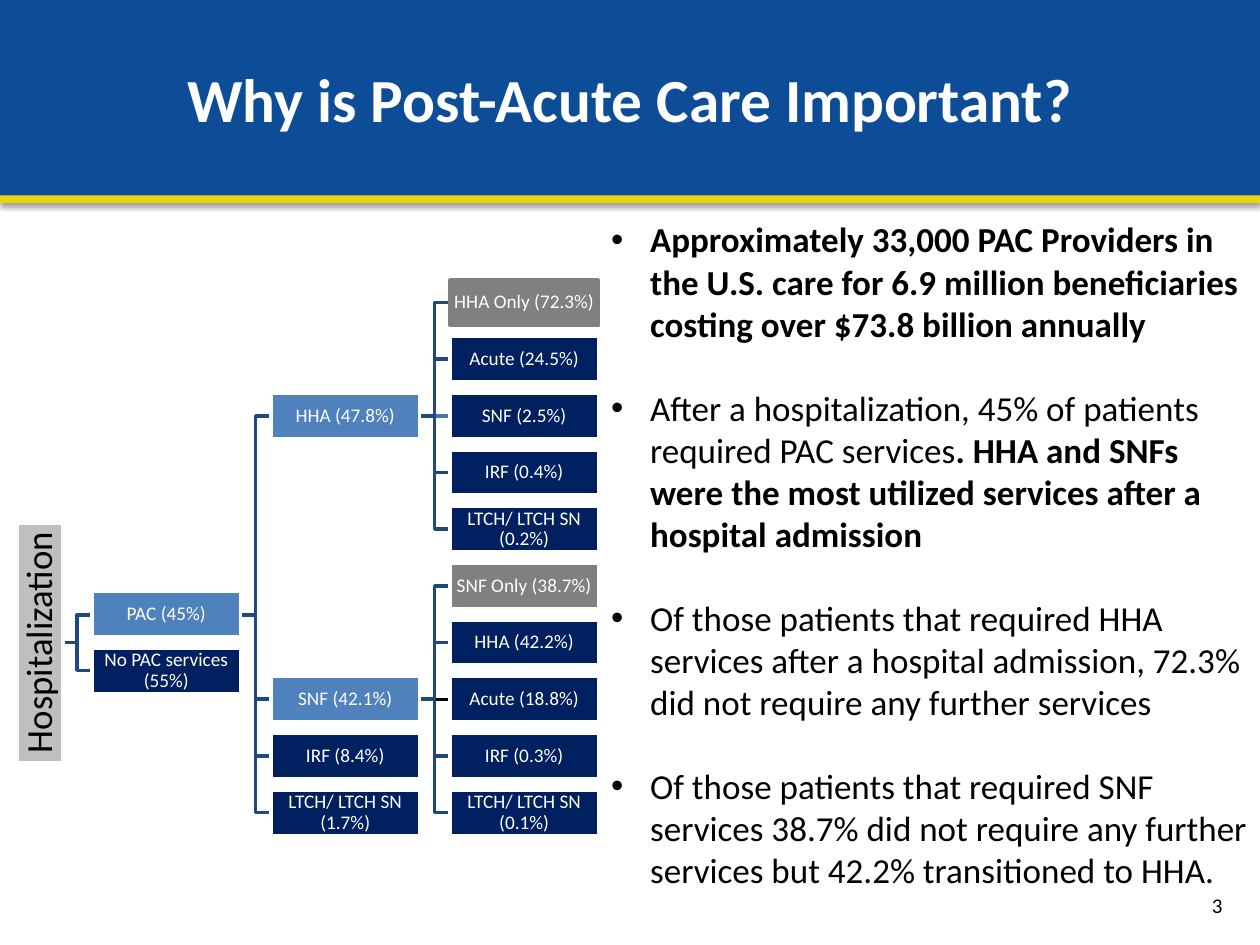
from dataclasses import dataclass, field
from typing import Iterator

from lxml import etree
from pptx import Presentation
from pptx import util as u
from pptx.dml import color
from pptx.enum import shapes, text
from pptx.oxml import ns

PX = 9144  # EMU per px, 100 px to the inch
FONT = "Calibri"
WHITE, BLACK = "FFFFFF", "000000"
NAVY, BLUE, GRAY, EDGE = "002060", "4F81BD", "808080", "1F497D"

# Tree grid
BOX_W, BOX_H = 118, 36
COLUMN_LEFT, COLUMN_PITCH = 73, 142
ROW_TOP, ROW_PITCH = 240, 45
GAP = COLUMN_PITCH - BOX_W


@dataclass
class Service:
    label: str
    row: float
    fill: str = NAVY
    border: str = WHITE
    edge: str = EDGE
    children: list["Service"] = field(default_factory=list)

    @property
    def y(self) -> float:
        return ROW_TOP + self.row * ROW_PITCH


HOSPITALIZATION = Service("Hospitalization", 6, "BFBFBF", children=[
    Service("PAC (45%)", 5.5, BLUE, children=[
        Service("HHA (47.8%)", 2, BLUE, children=[
            Service("HHA Only (72.3%)", 0, GRAY, border=GRAY),
            Service("Acute (24.5%)", 1),
            Service("SNF (2.5%)", 2, edge="4875AC"),
            Service("IRF (0.4%)", 3),
            Service("LTCH/ LTCH SN (0.2%)", 4),
        ]),
        Service("SNF (42.1%)", 7, BLUE, children=[
            Service("SNF Only (38.7%)", 5, GRAY),
            Service("HHA (42.2%)", 6),
            Service("Acute (18.8%)", 7, edge=BLACK),
            Service("IRF (0.3%)", 8),
            Service("LTCH/ LTCH SN (0.1%)", 9),
        ]),
        Service("IRF (8.4%)", 8),
        Service("LTCH/ LTCH SN (1.7%)", 9),
    ]),
    Service("No PAC services (55%)", 6.5),
])

# Each bullet is a list of (text, bold) runs
BULLETS = [
    [("Approximately 33,000 PAC Providers in the U.S. care for 6.9 million "
      "beneficiaries costing over $73.8 billion annually", True)],
    [("After a hospitalization, 45% of patients required PAC services", False),
     (". HHA and SNFs were the most utilized services after a hospital admission", True)],
    [("Of those patients that required HHA services after a hospital admission, "
      "72.3% did not require any further services", False)],
    [("Of those patients that required SNF services 38.7% did not require any "
      "further services but 42.2% transitioned to HHA.", False)],
]


def px(value: float) -> int:
    return round(value * PX)


def rgb(value: str) -> color.RGBColor:
    return color.RGBColor.from_string(value)


def place(shape, left: int, top: int, width: int, height: int) -> None:
    shape.left, shape.top = px(left), px(top)
    shape.width, shape.height = px(width), px(height)


def paint(shape, fill: str) -> None:
    shape.fill.solid()
    shape.fill.fore_color.rgb = rgb(fill)


def stroke(shape, line: str, points: float) -> None:
    shape.line.color.rgb = rgb(line)
    shape.line.width = u.Pt(points)


def add_run(paragraph, words: str, size: int, ink: str, bold: bool = False) -> None:
    run = paragraph.add_run()
    run.text = words
    run.font.name, run.font.size, run.font.bold = FONT, u.Pt(size), bold
    run.font.color.rgb = rgb(ink)


def add_line(slide, x1: float, y1: float, x2: float, y2: float, ink: str, points: float):
    line = slide.shapes.add_connector(
        shapes.MSO_CONNECTOR.STRAIGHT, px(x1), px(y1), px(x2), px(y2))
    stroke(line, ink, points)
    effects = etree.SubElement(line._element.spPr, ns.qn("a:effectLst"))
    return line, effects


def add_edge(slide, x: int, parent: Service, child: Service) -> None:
    if parent.row == child.row:
        add_line(slide, x, parent.y, x + GAP, child.y, child.edge, 2)
        return
    builder = slide.shapes.build_freeform(x, parent.y, scale=PX)
    middle = x + GAP / 2
    builder.add_line_segments(
        [(middle, parent.y), (middle, child.y), (x + GAP, child.y)], close=False)
    elbow = builder.convert_to_shape()
    elbow.fill.background()
    elbow.shadow.inherit = False
    stroke(elbow, child.edge, 2)


def add_box(slide, service: Service, center_x: float, width: int, size: int, ink: str):
    box = slide.shapes.add_shape(
        shapes.MSO_SHAPE.RECTANGLE, px(center_x - width / 2),
        px(service.y - BOX_H / 2), px(width), px(BOX_H))
    box.shadow.inherit = False
    paint(box, service.fill)
    stroke(box, service.border, 2)
    frame = box.text_frame
    frame.word_wrap = True
    frame.vertical_anchor = text.MSO_ANCHOR.MIDDLE
    frame.margin_left = frame.margin_right = px(1)
    frame.margin_top = frame.margin_bottom = px(1)
    paragraph = frame.paragraphs[0]
    paragraph.alignment = text.PP_ALIGN.CENTER
    paragraph.line_spacing = 0.9
    add_run(paragraph, service.label, size, ink)
    return box


def walk(service: Service, column: int = -1) -> Iterator[tuple[Service, int]]:
    yield service, column
    for child in service.children:
        yield from walk(child, column + 1)


def add_tree(slide, root: Service) -> None:
    nodes = list(walk(root))
    # Edges lie behind the boxes
    for service, column in nodes:
        edge_x = COLUMN_LEFT + (column + 1) * COLUMN_PITCH - GAP
        for child in service.children:
            add_edge(slide, edge_x, service, child)
    for service, column in nodes:
        if service is root:
            add_box(slide, service, 32, 190, 21, BLACK).rotation = 270
        else:
            center_x = COLUMN_LEFT + column * COLUMN_PITCH + BOX_W / 2
            add_box(slide, service, center_x, BOX_W, 11, WHITE)


def add_header(slide) -> None:
    # Yellow rule with a soft shadow, behind the title band
    rule, effects = add_line(slide, 0, 157, 1000, 157, "ECD208", 6)
    shadow = etree.SubElement(
        effects, ns.qn("a:outerShdw"), blurRad=str(u.Pt(3.1)), dist=str(u.Pt(1.6)),
        dir="5400000", rotWithShape="0")
    tint = etree.SubElement(shadow, ns.qn("a:srgbClr"), val=BLACK)
    etree.SubElement(tint, ns.qn("a:alpha"), val="38000")
    slide.shapes._spTree.insert(2, rule._element)

    title = slide.shapes.title
    place(title, 0, 0, 1000, 155)
    paint(title, "0D4C97")
    title.text_frame.vertical_anchor = text.MSO_ANCHOR.MIDDLE
    paragraph = title.text_frame.paragraphs[0]
    paragraph.alignment = text.PP_ALIGN.CENTER
    add_run(paragraph, "Why is Post-Acute Care Important?", 35, WHITE, True)


def add_bullets(slide) -> None:
    body = slide.placeholders[1]
    place(body, 475, 168, 525, 549)
    frame = body.text_frame
    frame.auto_size = text.MSO_AUTO_SIZE.NONE
    frame.vertical_anchor = text.MSO_ANCHOR.TOP
    for index, runs in enumerate(BULLETS):
        paragraph = frame.add_paragraph() if index else frame.paragraphs[0]
        properties = paragraph._p.get_or_add_pPr()
        properties.set("marL", str(px(31)))
        properties.set("indent", str(px(-31)))
        etree.SubElement(properties, ns.qn("a:buFont"), typeface="Arial")
        etree.SubElement(properties, ns.qn("a:buChar"), char="•")
        paragraph.space_before = u.Pt(24 if index else 0)
        for words, bold in runs:
            add_run(paragraph, words, 20, BLACK, bold)


def add_page_number(slide) -> None:
    number = slide.shapes.add_textbox(px(872), px(698), px(108), px(40))
    frame = number.text_frame
    frame.word_wrap = True
    frame.vertical_anchor = text.MSO_ANCHOR.MIDDLE
    frame.paragraphs[0].alignment = text.PP_ALIGN.RIGHT
    add_run(frame.paragraphs[0], "3", 12, BLACK)


def main() -> None:
    deck = Presentation()
    deck.slide_width, deck.slide_height = px(1000), px(750)
    slide = deck.slides.add_slide(deck.slide_layouts[1])
    add_header(slide)
    add_page_number(slide)
    add_bullets(slide)
    add_tree(slide, HOSPITALIZATION)
    deck.save("out.pptx")


if __name__ == "__main__":
    main()
